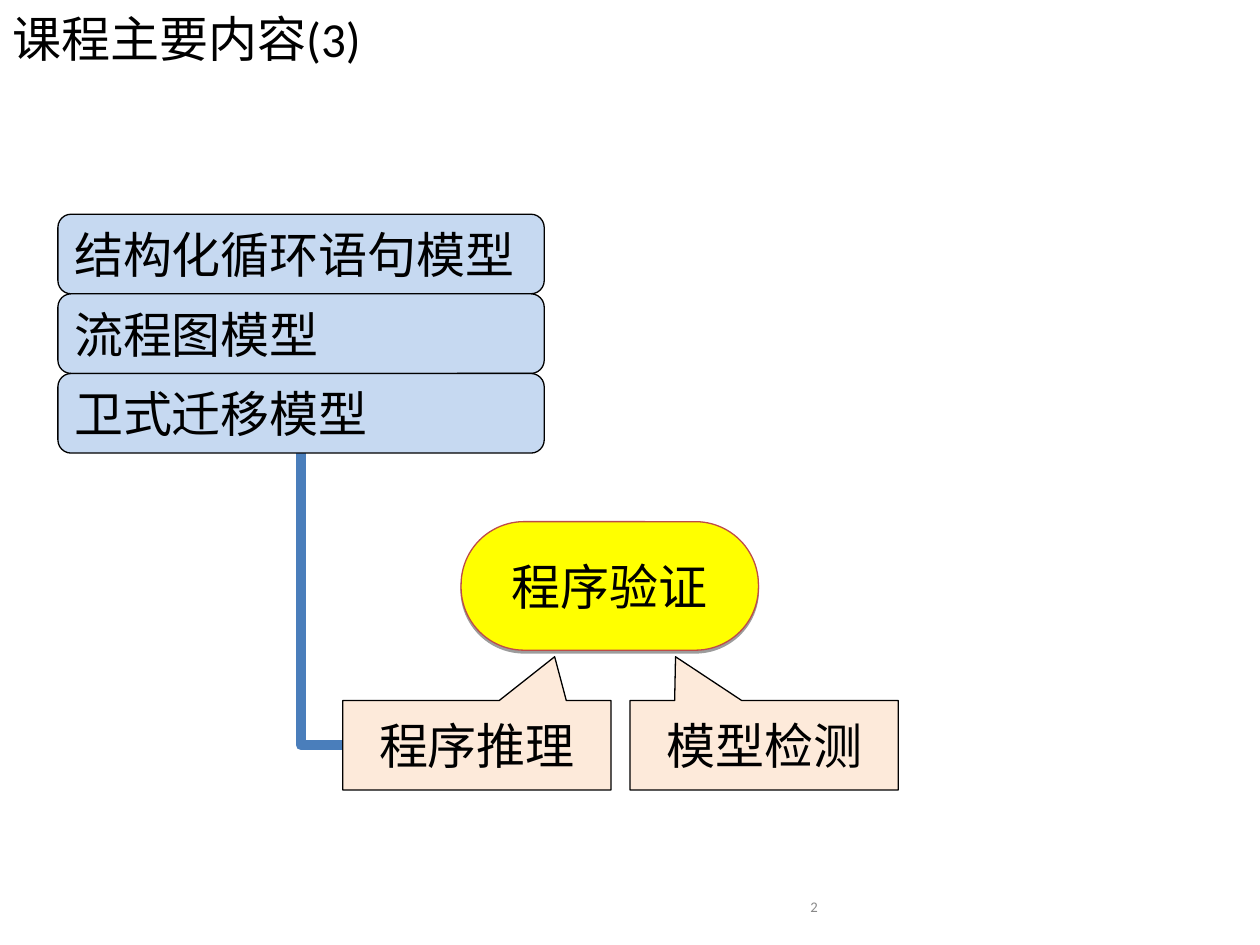
import pptx
import pptx.util
import pptx.dml.color
import pptx.enum.shapes
import pptx.enum.text
import pptx.oxml

SHAPE = pptx.enum.shapes.MSO_SHAPE
ALIGN = pptx.enum.text.PP_ALIGN
MIDDLE = pptx.enum.text.MSO_ANCHOR.MIDDLE
DRAWING = 'xmlns:a="http://schemas.openxmlformats.org/drawingml/2006/main"'

deck = pptx.Presentation()
deck.slide_width = pptx.util.Inches(10)
deck.slide_height = pptx.util.Inches(7.5)
column = deck.slide_width / 100
row = deck.slide_height / 75
slide = deck.slides.add_slide(deck.slide_layouts[5])


def color(value):
    return pptx.dml.color.RGBColor.from_string(value)


def write(holder, words, font, size=28, ink="000000", align=ALIGN.CENTER, wrap=True):
    frame = holder.text_frame
    frame.text = words
    frame.word_wrap = wrap
    frame.auto_size = pptx.enum.text.MSO_AUTO_SIZE.NONE
    frame.vertical_anchor = MIDDLE
    line = frame.paragraphs[0]
    line.alignment = align
    for run in line.runs:
        run.font.name = font
        run.font.size = pptx.util.Pt(size)
        run.font.color.rgb = color(ink)


heading = slide.shapes.title
heading.left, heading.top = 0, 0
heading.width, heading.height = int(95.1 * column), int(6 * row)
write(heading, "课程主要内容(3)", "Calibri", align=ALIGN.LEFT)

page_number = slide.shapes.add_textbox(
    int(34.2 * column), int(69.5 * row), int(31.7 * column), int(4 * row))
write(page_number, "2", "Calibri", 8.4, "898989", ALIGN.RIGHT)
page_number.text_frame.margin_top = pptx.util.Inches(0.16)
page_number.text_frame.paragraphs[0].line_spacing = 0.8

model_left, model_top, model_width, model_height = 4.6, 17, 38.6, 6.32
method_left, method_top, method_width, method_height = 27.2, 55.6, 21.3, 7.1
method_step = 22.8
trunk_x = model_left + model_width / 2
trunk_top = model_top + 3 * model_height
trunk_bottom = method_top + method_height / 2
trunk_run = method_left - trunk_x
trunk_drop = trunk_bottom - trunk_top
middle_x = trunk_x + trunk_run / 2
middle_y = trunk_top + trunk_drop / 2
trunk = slide.shapes.add_connector(
    pptx.enum.shapes.MSO_CONNECTOR.ELBOW,
    int((middle_x + trunk_drop / 2) * column), int((middle_y - trunk_run / 2) * row),
    int((middle_x - trunk_drop / 2) * column), int((middle_y + trunk_run / 2) * row))
trunk_properties = trunk._element.spPr
trunk_properties.find(pptx.oxml.ns.qn("a:xfrm")).set("rot", str(270 * 60000))
trunk_geometry = trunk_properties.find(pptx.oxml.ns.qn("a:prstGeom"))
trunk_geometry.set("prst", "bentConnector2")
trunk.line.color.rgb = color("4A7EBB")
trunk.line.width = pptx.util.Pt(6)
trunk_properties.append(pptx.oxml.parse_xml(f"<a:effectLst {DRAWING}/>"))

nodes = [("程序验证", SHAPE.ROUNDED_RECTANGLE, (36.6, 41.4, 23.6, 10.2),
          "FFFF00", "BE4B48", "Calibri", ALIGN.CENTER, True, [0.49])]
for index, (method, tip) in enumerate([("程序推理", 0.29), ("模型检测", -0.33)]):
    nodes.append((method, SHAPE.RECTANGULAR_CALLOUT,
                  (method_left + index * method_step, method_top, method_width, method_height),
                  "FDEADA", "000000", "Arial", ALIGN.CENTER, False, [tip, -0.99]))
for index, model in enumerate(["结构化循环语句模型", "流程图模型", "卫式迁移模型"]):
    nodes.append((model, SHAPE.FLOWCHART_ALTERNATE_PROCESS,
                  (model_left, model_top + index * model_height, model_width, model_height),
                  "C6D9F1", "000000", "Arial", ALIGN.LEFT, False, []))

for words, outline, (left, top, width, height), fill, edge, font, align, wrap, bends in nodes:
    node = slide.shapes.add_shape(
        outline, int(left * column), int(top * row), int(width * column), int(height * row))
    for position, bend in enumerate(bends):
        node.adjustments[position] = bend
    node.fill.solid()
    node.fill.fore_color.rgb = color(fill)
    node.line.color.rgb = color(edge)
    node.line.width = pptx.util.Pt(0.75)
    node.shadow.inherit = False
    write(node, words, font, align=align, wrap=wrap)
    if words == "程序验证":
        effects = node._element.spPr.find(pptx.oxml.ns.qn("a:effectLst"))
        effects.append(pptx.oxml.parse_xml(
            f'<a:outerShdw {DRAWING} blurRad="0" dist="{pptx.util.Pt(1.6)}" dir="5400000" '
            'algn="ctr" rotWithShape="0"><a:srgbClr val="000000"><a:alpha val="38000"/>'
            '</a:srgbClr></a:outerShdw>'))

deck.save("out.pptx")
